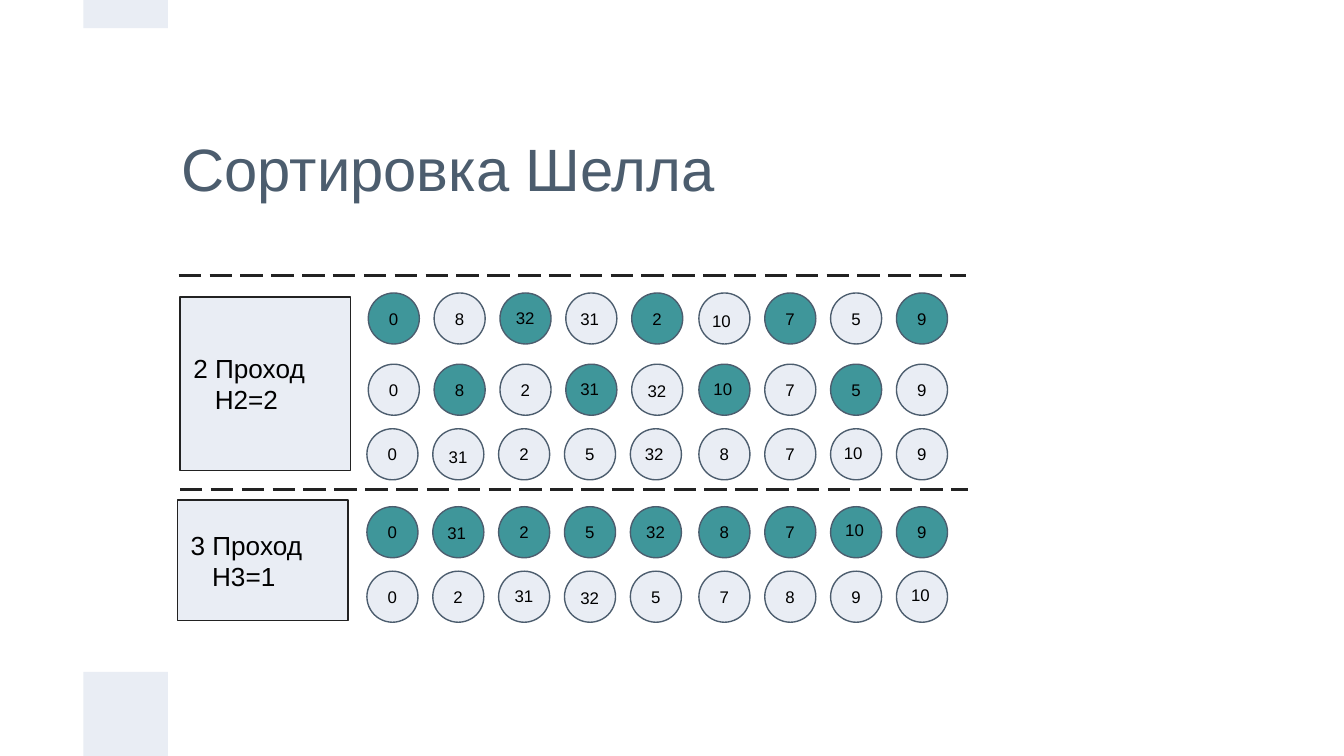
from pptx import Presentation
from pptx import util as u
from pptx.dml.color import RGBColor
from pptx.enum import dml, shapes, text
from pptx.oxml.ns import qn
from lxml import etree

PALE = RGBColor(0xE9, 0xED, 0xF4)
TEAL = RGBColor(0x3F, 0x96, 0x9A)
SLATE = RGBColor(0x4C, 0x5D, 0x6E)
DARK = RGBColor(0x22, 0x22, 0x22)
BLACK = RGBColor(0, 0, 0)


def add_block(kind, left, top, width, height, fill, outline=None):
    block = slide.shapes.add_shape(
        kind, u.Inches(left), u.Inches(top), u.Inches(width), u.Inches(height))
    block.shadow.inherit = False
    block.fill.solid()
    block.fill.fore_color.rgb = fill
    if outline is None:
        block.line.fill.background()
    else:
        block.line.color.rgb = outline
        block.line.width = u.Pt(0.75)
    return block


def write_lines(frame, lines, size, color=BLACK, anchor=text.MSO_ANCHOR.MIDDLE):
    frame.word_wrap = True
    frame.auto_size = text.MSO_AUTO_SIZE.NONE
    frame.vertical_anchor = anchor
    frame.margin_left = frame.margin_right = u.Inches(0.1)
    frame.margin_top = frame.margin_bottom = u.Inches(0.1)
    for index, line in enumerate(lines):
        paragraph = frame.add_paragraph() if index else frame.paragraphs[0]
        paragraph.alignment = text.PP_ALIGN.LEFT
        run = paragraph.add_run()
        run.text = line
        run.font.name = "Arial"
        run.font.size = u.Pt(size)
        run.font.color.rgb = color


deck = Presentation()
deck.slide_width = u.Inches(10)
deck.slide_height = u.Inches(10) * 9 // 16
slide = deck.slides.add_slide(deck.slide_layouts[5])

title = slide.shapes.title
title.left, title.top = u.Inches(1.25), u.Inches(0.62)
title.width, title.height = u.Inches(7.5), u.Inches(1.25)
write_lines(title.text_frame, ["Сортировка Шелла"], 32, SLATE)

for bar_top, bar_height in ((5, 0.63), (0, 0.21)):
    add_block(shapes.MSO_SHAPE.RECTANGLE, 0.62, bar_top, 0.63, bar_height, PALE)

DIAMETER = 0.38
PITCH = 0.49
SECOND_GROUP = 5
SECOND_GROUP_LEFT = 5.2
EVEN, ODD, ALL, NONE = {0, 2, 4, 6, 8}, {1, 3, 5, 7}, set(range(9)), set()
array_states = [
    (2.74, 2.18, [0, 8, 32, 31, 2, 10, 7, 5, 9], EVEN,
     {2: (3.74, 2.19), 3: (4.22, 2.2), 5: (5.2, 2.21)}),
    (2.74, 2.71, [0, 8, 2, 31, 32, 10, 7, 5, 9], ODD,
     {3: (4.22, 2.72), 4: (4.72, 2.73), 5: (5.21, 2.72)}),
    (2.73, 3.19, [0, 31, 2, 5, 32, 8, 7, 10, 9], NONE,
     {1: (3.24, 3.22), 4: (4.7, 3.2), 7: (6.18, 3.19)}),
    (2.73, 3.77, [0, 31, 2, 5, 32, 8, 7, 10, 9], ALL,
     {1: (3.23, 3.79), 4: (4.71, 3.78), 7: (6.19, 3.77)}),
    (2.73, 4.25, [0, 2, 31, 32, 5, 7, 8, 9, 10], NONE,
     {2: (3.73, 4.26), 3: (4.22, 4.27), 8: (6.68, 4.25)}),
]
for first_left, top, values, compared, number_spots in array_states:
    for column, value in enumerate(values):
        if column < SECOND_GROUP:
            left = first_left + column * PITCH
        else:
            left = SECOND_GROUP_LEFT + (column - SECOND_GROUP) * PITCH
        circle = add_block(shapes.MSO_SHAPE.OVAL, left, top, DIAMETER, DIAMETER,
                           TEAL if column in compared else PALE, SLATE)
        if column not in number_spots:
            write_lines(circle.text_frame, [str(value)], 9)
            continue
        number_left, number_top = number_spots[column]
        number = slide.shapes.add_textbox(
            u.Inches(number_left), u.Inches(number_top),
            u.Inches(DIAMETER), u.Inches(0.21))
        write_lines(number.text_frame, [str(value)], 9, anchor=text.MSO_ANCHOR.TOP)

passes = [
    (1.34, 2.21, 1.29, ["2 Проход", "H2=2"]),
    (1.32, 3.72, 0.9, ["3 Проход", "H3=1"]),
]
for left, top, height, lines in passes:
    pass_label = add_block(shapes.MSO_SHAPE.RECTANGLE, left, top, 1.27, height, PALE, DARK)
    write_lines(pass_label.text_frame, lines, 14)
    step_line = pass_label.text_frame.paragraphs[1]
    step_line._p.get_or_add_pPr().set("marL", str(u.Inches(0.16)))

for left, top in ((1.33, 2.05), (1.34, 3.64)):
    divider = slide.shapes.add_connector(
        shapes.MSO_CONNECTOR.STRAIGHT,
        u.Inches(left), u.Inches(top), u.Inches(left + 5.86), u.Inches(top))
    divider.line.color.rgb = DARK
    divider.line.width = u.Pt(1.5)
    divider.line.dash_style = dml.MSO_LINE.LONG_DASH
    etree.SubElement(divider._element.spPr, qn("a:effectLst"))

deck.save("out.pptx")
